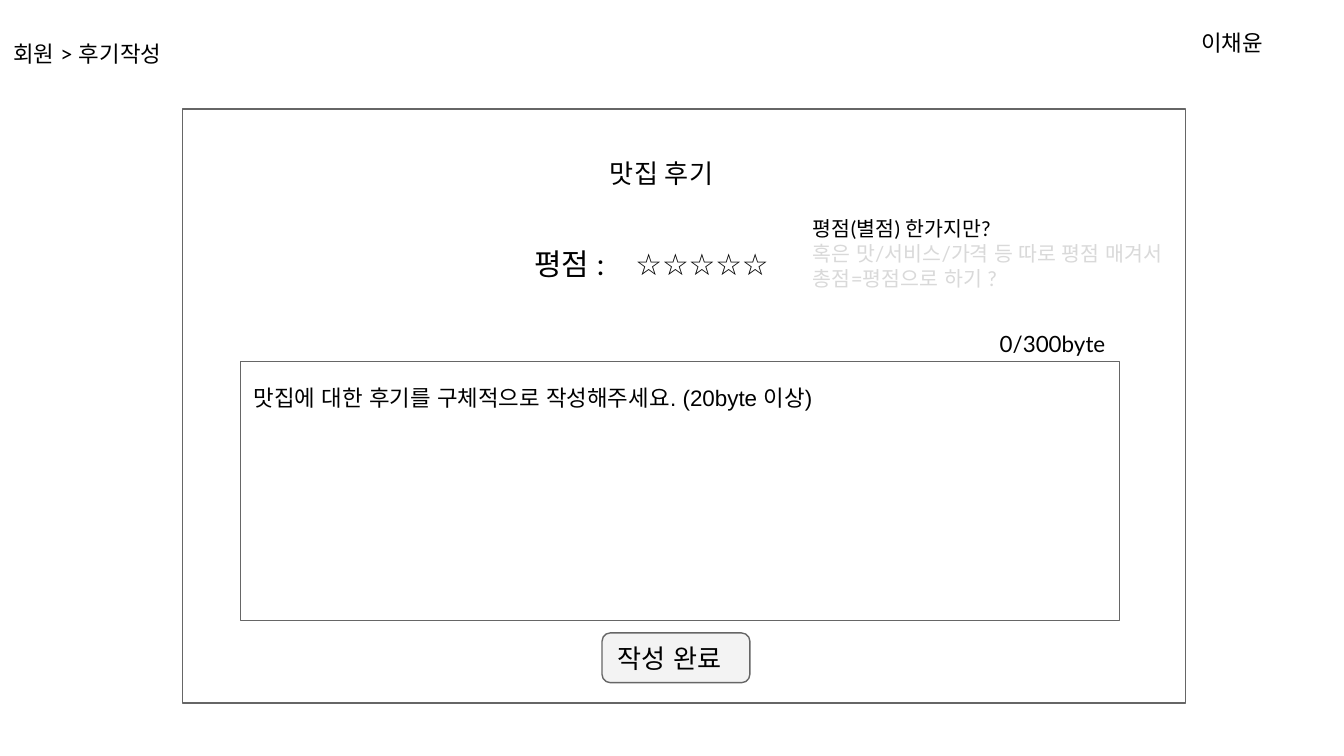
from dataclasses import dataclass
from typing import Optional

from lxml.etree import SubElement
from pptx import Presentation
from pptx.dml.color import RGBColor
from pptx.enum.shapes import MSO_SHAPE
from pptx.enum.text import MSO_ANCHOR, PP_ALIGN
from pptx.oxml.ns import qn
from pptx.util import Inches, Pt

UNIT = 0.1
WIDTH = 100
HEIGHT = WIDTH * 9 / 16


@dataclass(frozen=True)
class Theme:
    ink: str = "000000"
    muted: str = "D9D9D9"
    border: str = "666666"
    button: str = "F3F3F3"
    heading: str = "Lato"
    body: str = "Arial"
    note: int = 11
    normal: int = 12
    title: int = 14
    rating: int = 16
    stroke: float = 0.75


@dataclass(frozen=True)
class Place:
    col: float
    row: float
    cols: float
    rows: float

    def lengths(self) -> list:
        return [Inches(n * UNIT) for n in (self.col, self.row, self.cols, self.rows)]


@dataclass(frozen=True)
class Label:
    place: Place
    lines: tuple
    size: int
    rest: str = Theme.ink
    tab: Optional[float] = None


@dataclass(frozen=True)
class Panel:
    place: Place
    kind: MSO_SHAPE = MSO_SHAPE.RECTANGLE
    fill: Optional[str] = None
    text: str = ""
    size: int = Theme.normal
    anchor: MSO_ANCHOR = MSO_ANCHOR.MIDDLE
    top: float = 1


PANELS = (
    Panel(Place(13.6, 8.1, 74.6, 44.2)),
    Panel(Place(17.9, 26.9, 65.4, 19.3), text="맛집에 대한 후기를 구체적으로 작성해주세요. (20byte 이상)",
          anchor=MSO_ANCHOR.TOP, top=1.7),
    Panel(Place(44.8, 47.1, 11, 3.7), MSO_SHAPE.ROUNDED_RECTANGLE, Theme.button,
          "작성 완료", Theme.title),
)
LABELS = (
    Label(Place(0, 2, 39.5, 4), ("회원 > 후기작성",), Theme.normal),
    Label(Place(44.4, 10.7, 40.4, 4.4), ("맛집 후기",), Theme.title),
    Label(Place(38.8, 17.3, 40.4, 4.7), ("평점 :\t☆☆☆☆☆",), Theme.rating, tab=7.5),
    Label(Place(59.5, 15.1, 29.7, 9.9),
          ("평점(별점) 한가지만?", "혹은 맛/서비스/가격 등 따로 평점 매겨서", "총점=평점으로 하기 ?"),
          Theme.note, Theme.muted),
    Label(Place(73.4, 23.6, 9.9, 4), ("0/300byte",), Theme.normal),
    Label(Place(88.4, 1.2, 11.6, 4), ("이채윤",), Theme.normal),
)


def write(p, text: str, *, size: int, font: str, color: str = Theme.ink,
          tab: Optional[float] = None) -> None:
    """Write one formatted line into a paragraph."""
    if tab is not None:
        tabs = SubElement(p._p.get_or_add_pPr(), qn("a:tabLst"))
        SubElement(tabs, qn("a:tab"), pos=str(Inches(tab * UNIT)), algn="l")
    p.alignment = PP_ALIGN.LEFT
    r = p.add_run()
    r.text = text
    r.font.size = Pt(size)
    r.font.name = font
    r.font.color.rgb = RGBColor.from_string(color)
    SubElement(r._r.get_or_add_rPr(), qn("a:ea"), typeface=font)


def frame(sp, anchor: MSO_ANCHOR = MSO_ANCHOR.TOP, top: float = 1):
    """Prepare a text frame with even insets."""
    tf = sp.text_frame
    tf.word_wrap = True
    tf.vertical_anchor = anchor
    tf.margin_left = tf.margin_right = tf.margin_bottom = Inches(UNIT)
    tf.margin_top = Inches(top * UNIT)
    return tf


def draw_panel(s, panel: Panel) -> None:
    """Draw an outlined panel with its optional text."""
    sp = s.shapes.add_shape(panel.kind, *panel.place.lengths())
    sp.shadow.inherit = False
    sp.line.color.rgb = RGBColor.from_string(Theme.border)
    sp.line.width = Pt(Theme.stroke)
    if panel.fill:
        sp.fill.solid()
        sp.fill.fore_color.rgb = RGBColor.from_string(panel.fill)
    else:
        sp.fill.background()
    if panel.text:
        tf = frame(sp, panel.anchor, panel.top)
        write(tf.paragraphs[0], panel.text, size=panel.size, font=Theme.body)


def draw_label(s, label: Label) -> None:
    """Draw a text box whose later lines may take another colour."""
    tf = frame(s.shapes.add_textbox(*label.place.lengths()))
    for i, line in enumerate(label.lines):
        p = tf.add_paragraph() if i else tf.paragraphs[0]
        write(p, line, size=label.size, font=Theme.heading,
              color=label.rest if i else Theme.ink, tab=label.tab)


def main() -> None:
    """Build the review form slide."""
    prs = Presentation()
    prs.slide_width = Inches(WIDTH * UNIT)
    prs.slide_height = Inches(HEIGHT * UNIT)
    s = prs.slides.add_slide(prs.slide_layouts[6])
    for panel in PANELS:
        draw_panel(s, panel)
    for label in LABELS:
        draw_label(s, label)
    prs.save("out.pptx")


if __name__ == "__main__":
    main()
